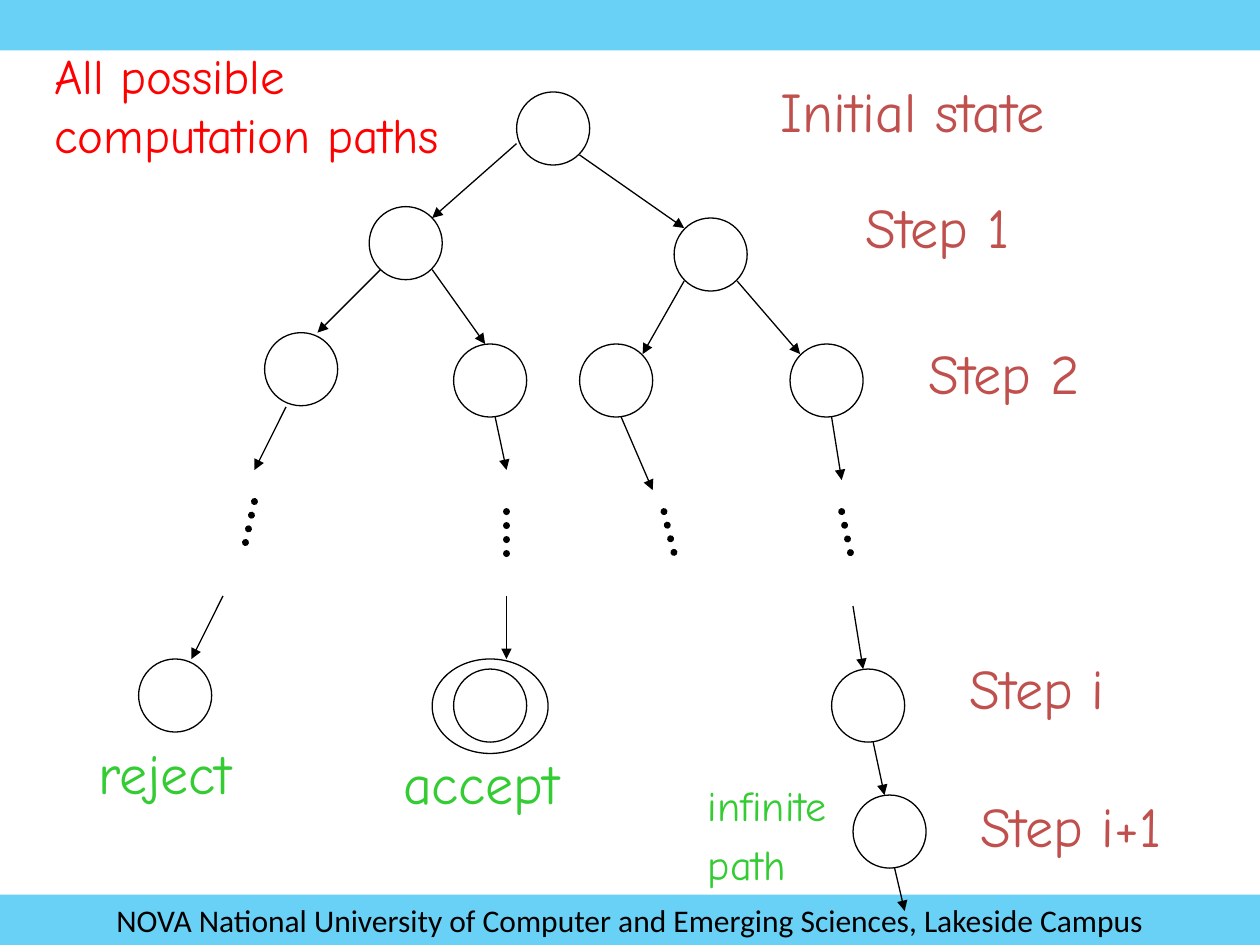
import pptx
import pptx.util
import pptx.dml.color
import pptx.enum.shapes
import pptx.enum.text
import pptx.oxml.ns
import lxml.etree

HUES = {"bar": "00B0F0", "ink": "000000", "title": "FF0000",
        "step": "C0504D", "end": "33CC33"}
HAND = "Comic Neue"
TITLE = "All possible computation paths"
FOOT = "NOVA National University of Computer and Emerging Sciences, Lakeside Campus"
SIDE = 0.58

NODES = [(4.1, 0.73), (2.93, 1.64), (5.35, 1.73),
         (2.1, 2.64), (3.6, 2.73), (4.6, 2.73), (6.27, 2.73),
         (1.1, 5.23), (3.6, 5.31), (6.6, 5.31), (6.77, 6.31)]
RING = (3.43, 5.23, 0.92, 0.75)

ARROWS = [
    (4.1, 1.14, 3.43, 1.73), (4.6, 1.23, 5.43, 1.81),
    (3.02, 2.14, 2.52, 2.64), (3.43, 2.14, 3.85, 2.73),
    (5.43, 2.23, 5.1, 2.81), (5.85, 2.23, 6.35, 2.81),
    (2.27, 3.23, 2.02, 3.73), (3.93, 3.31, 4.02, 3.73),
    (4.93, 3.31, 5.18, 3.89), (6.6, 3.31, 6.68, 3.81),
    (1.77, 4.73, 1.52, 5.23), (4.02, 4.73, 4.02, 5.23),
    (6.77, 4.81, 6.85, 5.31), (6.93, 5.89, 7.02, 6.31),
    (7.1, 6.89, 7.18, 7.23),
]
DOTS = [(2.02, 3.98, 1.93, 4.39), (4.02, 4.06, 4.02, 4.48),
        (5.27, 4.06, 5.35, 4.39), (6.68, 4.06, 6.77, 4.48)]

LABELS = [
    (["Initial state"], 6.1, 0.56, 2.73, 0.63, 32, "step"),
    (["Step 1"], 6.77, 1.48, 1.53, 0.63, 32, "step"),
    (["Step 2"], 7.27, 2.64, 1.61, 0.63, 32, "step"),
    (["Step i"], 7.6, 5.14, 1.46, 0.63, 32, "step"),
    (["Step i+1"], 7.68, 6.23, 1.87, 0.63, 32, "step"),
    (["accept"], 3.1, 5.89, 1.58, 0.63, 32, "end"),
    (["reject"], 0.68, 5.81, 1.52, 0.63, 32, "end"),
    (["infinite", "path"], 5.52, 6.14, 1.34, 0.98, 24, "end"),
]

KIND = pptx.enum.shapes.MSO_SHAPE
ALIGN = pptx.enum.text.PP_ALIGN
ANCHOR = pptx.enum.text.MSO_ANCHOR


def inch(*nums):
    return [pptx.util.Inches(num) for num in nums]


def tint(name):
    return pptx.dml.color.RGBColor.from_string(HUES[name])


def sub(node, tag, **attrs):
    return lxml.etree.SubElement(node, pptx.oxml.ns.qn(tag), **attrs)


def write(frame, lines, size, hue, font=HAND, align=ALIGN.LEFT, gap=0.2):
    frame.word_wrap = True
    for pos, line in enumerate(lines):
        para = frame.add_paragraph() if pos else frame.paragraphs[0]
        para.alignment = align
        para.space_before = pptx.util.Pt(size * gap)
        run = para.add_run()
        run.text = line
        run.font.name = font
        run.font.size = pptx.util.Pt(size)
        run.font.color.rgb = tint(hue)


def add_bar(slide, top):
    bar = slide.shapes.add_shape(KIND.RECTANGLE, *inch(0, top, 10, 0.4))
    bar.shadow.inherit = False
    bar.fill.solid()
    bar.fill.fore_color.rgb = tint("bar")
    hue = bar.fill._xPr.find(".//" + pptx.oxml.ns.qn("a:srgbClr"))
    sub(hue, "a:alpha", val="59000")
    bar.line.fill.background()
    return bar


def add_node(slide, *box):
    node = slide.shapes.add_shape(KIND.OVAL, *inch(*box))
    node.shadow.inherit = False
    node.fill.background()
    node.line.color.rgb = tint("ink")
    node.line.width = pptx.util.Pt(0.75)


def add_line(slide, ends, width):
    link = slide.shapes.add_connector(
        pptx.enum.shapes.MSO_CONNECTOR.STRAIGHT, *inch(*ends))
    link.line.color.rgb = tint("ink")
    link.line.width = pptx.util.Pt(width)
    sub(link._element.spPr, "a:effectLst")
    return link.line


def main():
    deck = pptx.Presentation()
    deck.slide_width, deck.slide_height = inch(10, 7.5)
    slide = deck.slides.add_slide(deck.slide_layouts[5])

    add_bar(slide, 0)
    foot = add_bar(slide, 7.1).text_frame
    foot.vertical_anchor = ANCHOR.MIDDLE
    write(foot, [FOOT], 18, "ink", "Calibri", ALIGN.CENTER, 0)

    title = slide.shapes.title
    title.left, title.top, title.width, title.height = inch(0.33, 0.31, 3.6, 1.04)
    title.text_frame.vertical_anchor = ANCHOR.TOP
    title.text_frame.auto_size = pptx.enum.text.MSO_AUTO_SIZE.NONE
    write(title.text_frame, [TITLE], 28, "title")

    for left, top in NODES:
        add_node(slide, left, top, SIDE, SIDE)
    add_node(slide, *RING)

    for ends in ARROWS:
        line = add_line(slide, ends, 0.75)
        sub(line._get_or_add_ln(), "a:tailEnd", type="triangle", w="med", len="med")
    for ends in DOTS:
        line = add_line(slide, ends, 4)
        line.dash_style = pptx.enum.dml.MSO_LINE.ROUND_DOT
        line._get_or_add_ln().set("cap", "rnd")

    for lines, left, top, width, height, size, hue in LABELS:
        box = slide.shapes.add_textbox(*inch(left, top, width, height))
        write(box.text_frame, lines, size, hue)

    deck.save("out.pptx")


if __name__ == "__main__":
    main()
